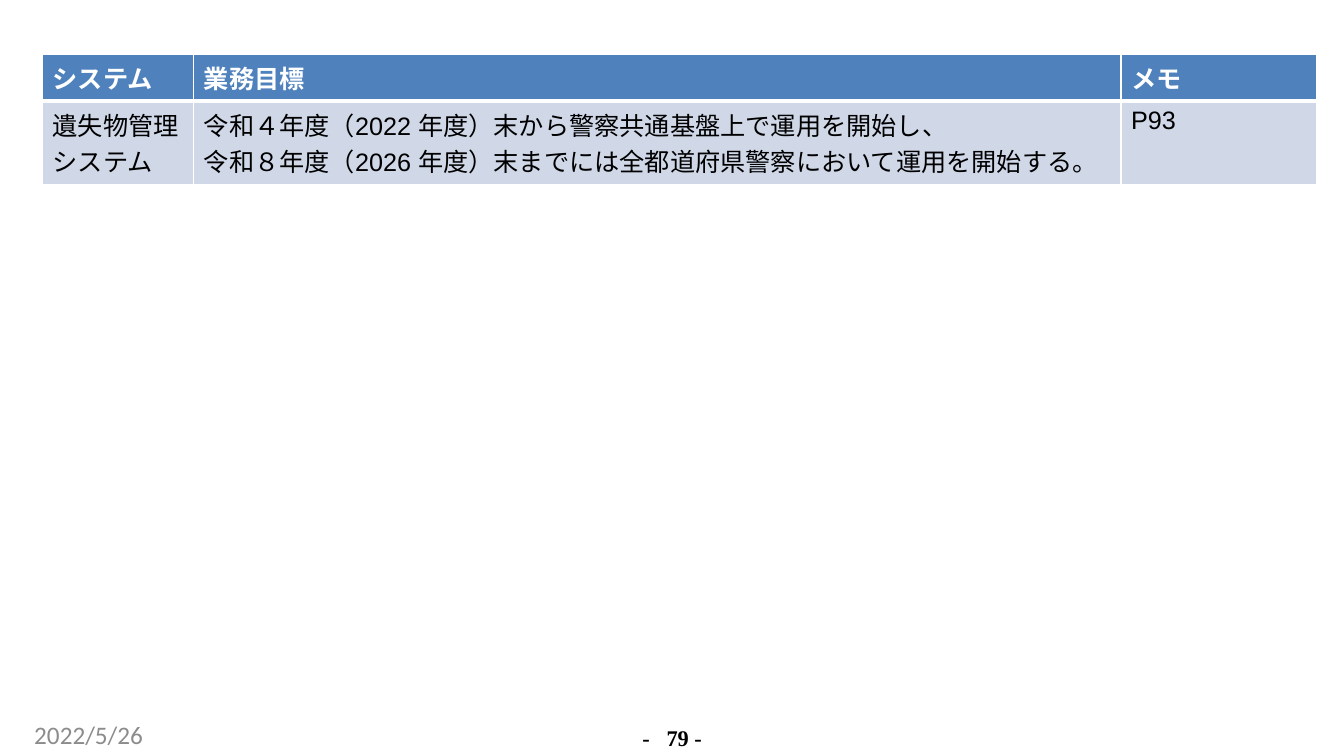
from lxml import etree
from pptx import Presentation
from pptx.dml.color import RGBColor
from pptx.enum.text import PP_ALIGN
from pptx.oxml.ns import qn
from pptx.util import Pt

CENTER = PP_ALIGN.CENTER
CJK_FONT = "Noto Sans CJK JP"


def rgb(value):
    return RGBColor.from_string(value)


def add_run(p, text, size, font, color, bold=False):
    r = p.add_run()
    r.text = text
    r.font.size = Pt(size)
    r.font.name = font
    r.font.bold = bold
    r.font.color.rgb = rgb(color)
    return r


prs = Presentation()
prs.slide_width, prs.slide_height = Pt(960), Pt(540)
s = prs.slides.add_slide(prs.slide_layouts[6])

# Table of systems and their goals
rows = [
    [["システム"], ["業務目標"], ["メモ"]],
    [
        ["遺失物管理システム"],
        ["令和４年度（2022 年度）末から警察共通基盤上で運用を開始し、",
         "令和８年度（2026 年度）末までには全都道府県警察において運用を開始する。"],
        ["P93"],
    ],
]
# Fill, text colour, bold, height, top border, bottom border
row_styles = [
    ("4F81BD", "FFFFFF", True, 32, 1, 3),
    ("D0D8E8", "000000", False, 58, 3, 1),
]
col_widths = [108, 662.4, 139.7]

table = s.shapes.add_table(len(rows), len(col_widths), Pt(30.4), Pt(39),
                           Pt(sum(col_widths)), Pt(90)).table
for column, width in zip(table.columns, col_widths):
    column.width = Pt(width)

for i, (row, style) in enumerate(zip(rows, row_styles)):
    fill, color, bold, height, top, bottom = style
    table.rows[i].height = Pt(height)
    for j, lines in enumerate(row):
        cell = table.cell(i, j)
        tcPr = cell._tc.get_or_add_tcPr()
        for tag, width in (("lnL", 1), ("lnR", 1), ("lnT", top), ("lnB", bottom)):
            ln = etree.SubElement(tcPr, qn(f"a:{tag}"), w=str(Pt(width)))
            solid = etree.SubElement(ln, qn("a:solidFill"))
            etree.SubElement(solid, qn("a:srgbClr"), val="FFFFFF")
        cell.fill.solid()
        cell.fill.fore_color.rgb = rgb(fill)
        tf = cell.text_frame
        for k, line in enumerate(lines):
            p = tf.add_paragraph() if k else tf.paragraphs[0]
            r = add_run(p, line, 18, "Arial", color, bold)
            etree.SubElement(r.font._element, qn("a:ea"), typeface=CJK_FONT)

# Footer: date and page number
footer = [
    ("2022/5/26", 24.5, 514, 221, 22, 18, "Calibri", "8C8C8C", False),
    ("-\t79 -", 448.6, 517.7, 62, 18, 16, "Times New Roman", "000000", True),
]
for text, x, y, w, h, size, font, color, bold in footer:
    tf = s.shapes.add_textbox(Pt(x), Pt(y), Pt(w), Pt(h)).text_frame
    tf.word_wrap = True
    tf.margin_left = tf.margin_right = tf.margin_top = tf.margin_bottom = 0
    p = tf.paragraphs[0]
    if "\t" in text:
        pPr = p._p.get_or_add_pPr()
        pPr.set("marL", str(Pt(1)))
        tabs = etree.SubElement(pPr, qn("a:tabLst"))
        etree.SubElement(tabs, qn("a:tab"), pos=str(Pt(17.3)), algn="l")
        p.alignment = CENTER
        p.line_spacing = Pt(18.4)
    add_run(p, text, size, font, color, bold)

prs.save("out.pptx")
